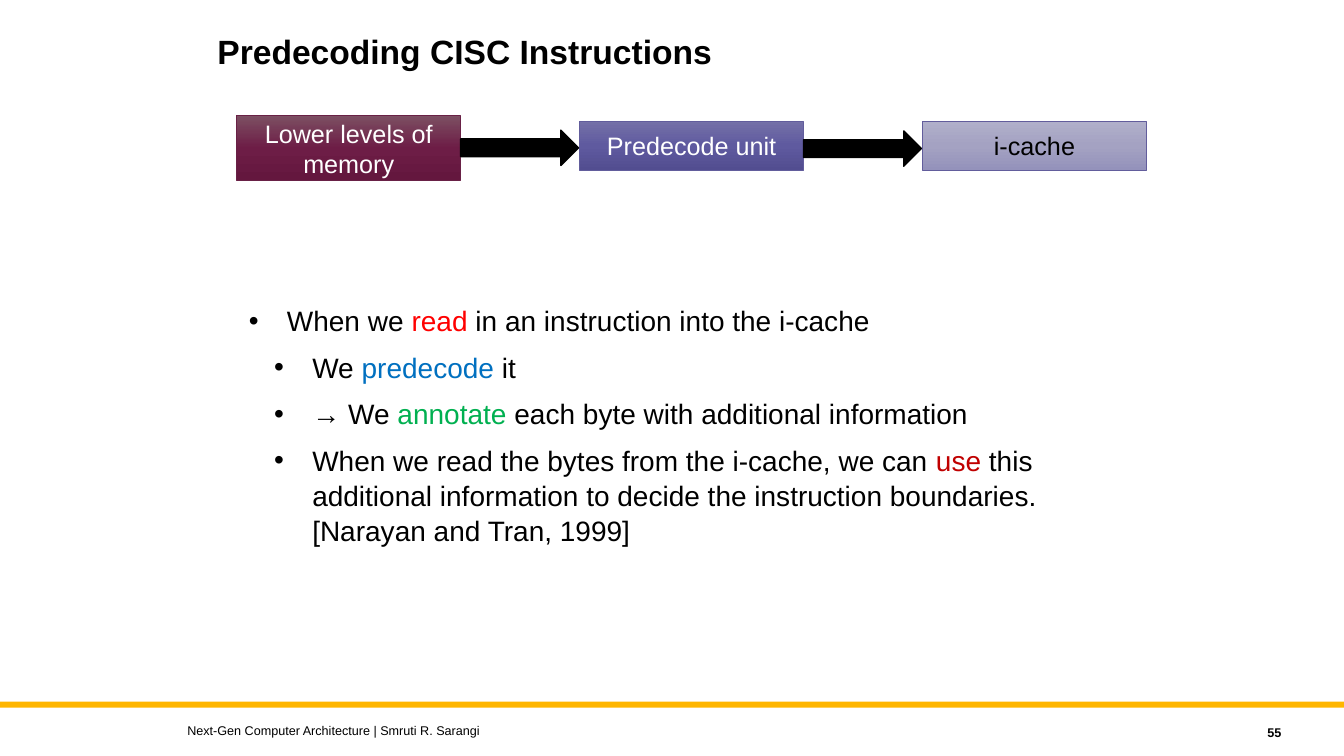
from lxml.etree import SubElement
from pptx import Presentation
from pptx.dml.color import RGBColor
from pptx.enum.shapes import MSO_SHAPE
from pptx.enum.text import MSO_ANCHOR, PP_ALIGN
from pptx.oxml.ns import qn
from pptx.util import Cm, Pt

# Content
TITLE = "Predecoding CISC Instructions"
FOOTER = "Next-Gen Computer Architecture | Smruti R. Sarangi"
PAGE = "55"
# label, style, top and height in cm
STAGES = [
    ("Lower levels of memory", "memory", 2.92, 1.63),
    ("Predecode unit", "predecode", 3.05, 1.24),
    ("i-cache", "cache", 3.05, 1.24),
]
ARROW_TOPS = [3.28, 3.3]
# level, then runs of (text, colour)
POINTS = [
    (0, [("When we ", "text"), ("read", "read"),
         (" in an instruction into the i-cache", "text")]),
    (1, [("We ", "text"), ("predecode", "annotate_first"), (" it", "text")]),
    (1, [("→ We ", "text"), ("annotate", "annotate"),
         (" each byte with additional information", "text")]),
    (1, [("When we read the bytes from the i-cache, we can ", "text"), ("use", "use"),
         (" this additional information to decide the instruction boundaries. \n"
          "[Narayan and Tran, 1999]", "text")]),
]

THEME = {
    "font": "Arial",
    "size": {"title": 24, "body": 20, "stage": 18, "footer": 9},
    "color": {"text": "000000", "light": "FFFFFF", "bar": "FFB600", "read": "FF0000",
              "annotate_first": "0070C0", "annotate": "00B050", "use": "C00000"},
    # gradient from top to bottom, outline, label colour
    "stage": {
        "memory": (("7C4F62", "6D1D46", "64173E"), "692146", "light"),
        "predecode": (("7571A8", "5F5A9F", "524D90"), "625D9C", "light"),
        "cache": (("B0AFCA", "A4A2C2", "9492BB"), "625D9C", "text"),
    },
}

# Layout in cm
STAGE_LEFT, STAGE_WIDTH, STAGE_PITCH = 5.97, 5.64, 8.64
ARROW_WIDTH, ARROW_HEIGHT = 2.97, 0.89
INDENT, LEVEL_STEP = 0.96, 0.64

deck = Presentation()
deck.slide_width, deck.slide_height = Cm(33.87), Cm(19.05)
slide = deck.slides.add_slide(deck.slide_layouts[6])


def rgb(name):
    return RGBColor.from_string(THEME["color"].get(name, name))


def write(paragraph, text, *, size, color="text", bold=False, align=None):
    """Add text to a paragraph; a newline becomes a line break."""
    if align is not None:
        paragraph.alignment = align
    for number, line in enumerate(text.split("\n")):
        if number:
            paragraph.add_line_break()
        run = paragraph.add_run()
        run.text = line
        run.font.name = THEME["font"]
        run.font.size = Pt(THEME["size"][size])
        run.font.bold = bold
        run.font.color.rgb = rgb(color)


def text_frame(left, top, width, height, anchor=MSO_ANCHOR.TOP):
    frame = slide.shapes.add_textbox(Cm(left), Cm(top), Cm(width), Cm(height)).text_frame
    frame.word_wrap = True
    frame.vertical_anchor = anchor
    return frame


def solid_shape(kind, left, top, width, height, color):
    shape = slide.shapes.add_shape(kind, Cm(left), Cm(top), Cm(width), Cm(height))
    shape.shadow.inherit = False
    shape.fill.solid()
    shape.fill.fore_color.rgb = rgb(color)
    shape.line.fill.background()
    return shape


def shade(shape, colors):
    """Fill a shape with evenly spaced colours running downwards."""
    shape.fill.gradient()
    shape.fill.gradient_angle = 270
    stops = shape.fill.gradient_stops
    stop_list = shape._element.spPr.find(qn("a:gradFill")).find(qn("a:gsLst"))
    for stop in list(stop_list):
        stop_list.remove(stop)
    for number, color in enumerate(colors):
        position = 100000 * number // (len(colors) - 1)
        stop = SubElement(stop_list, qn("a:gs"), pos=str(position))
        SubElement(stop, qn("a:srgbClr"), val=color)


def add_bullet(paragraph, level):
    properties = paragraph._p.get_or_add_pPr()
    properties.set("marL", str(Cm(INDENT + level * LEVEL_STEP)))
    properties.set("indent", str(-Cm(INDENT)))
    SubElement(properties, qn("a:buFont"), typeface=THEME["font"])
    SubElement(properties, qn("a:buChar"), char="•")


# Footer bar and title
solid_shape(MSO_SHAPE.RECTANGLE, 0, 17.68, 33.87, 0.15, "bar")
title = text_frame(5.23, 0.76, 19.84, 2.29).paragraphs[0]
title.line_spacing = 0.9
write(title, TITLE, size="title", bold=True)

# Bulleted explanation
body = text_frame(6.02, 7.49, 22.81, 5.94)
for number, (level, runs) in enumerate(POINTS):
    point = body.add_paragraph() if number else body.paragraphs[0]
    add_bullet(point, level)
    point.level = level
    point.line_spacing = 1.05
    if number:
        point.space_before = Pt(8)
    for text, color in runs:
        write(point, text, size="body", color=color)

# Footer text and page number
footer = text_frame(4.47, 18.08, 20.32, 0.64, MSO_ANCHOR.MIDDLE)
write(footer.paragraphs[0], FOOTER, size="footer")
page = text_frame(28.98, 18.14, 3.56, 0.64, MSO_ANCHOR.MIDDLE)
write(page.paragraphs[0], PAGE, size="footer", bold=True, align=PP_ALIGN.RIGHT)

# Stages from memory to i-cache
for number, (label, style, top, height) in enumerate(STAGES):
    gradient, outline, label_color = THEME["stage"][style]
    stage = solid_shape(MSO_SHAPE.RECTANGLE, STAGE_LEFT + number * STAGE_PITCH, top,
                        STAGE_WIDTH, height, outline)
    shade(stage, gradient)
    stage.line.color.rgb = rgb(outline)
    stage.line.width = Pt(0.5)
    stage.text_frame.word_wrap = True
    stage.text_frame.vertical_anchor = MSO_ANCHOR.MIDDLE
    write(stage.text_frame.paragraphs[0], label, size="stage", color=label_color,
          align=PP_ALIGN.CENTER)

# Arrows between the stages
for number, top in enumerate(ARROW_TOPS):
    arrow = solid_shape(MSO_SHAPE.RIGHT_ARROW, STAGE_LEFT + STAGE_WIDTH + number * STAGE_PITCH,
                        top, ARROW_WIDTH, ARROW_HEIGHT, "text")
    arrow.line.color.rgb = rgb("text")
    arrow.line.width = Pt(1)

deck.save("out.pptx")
